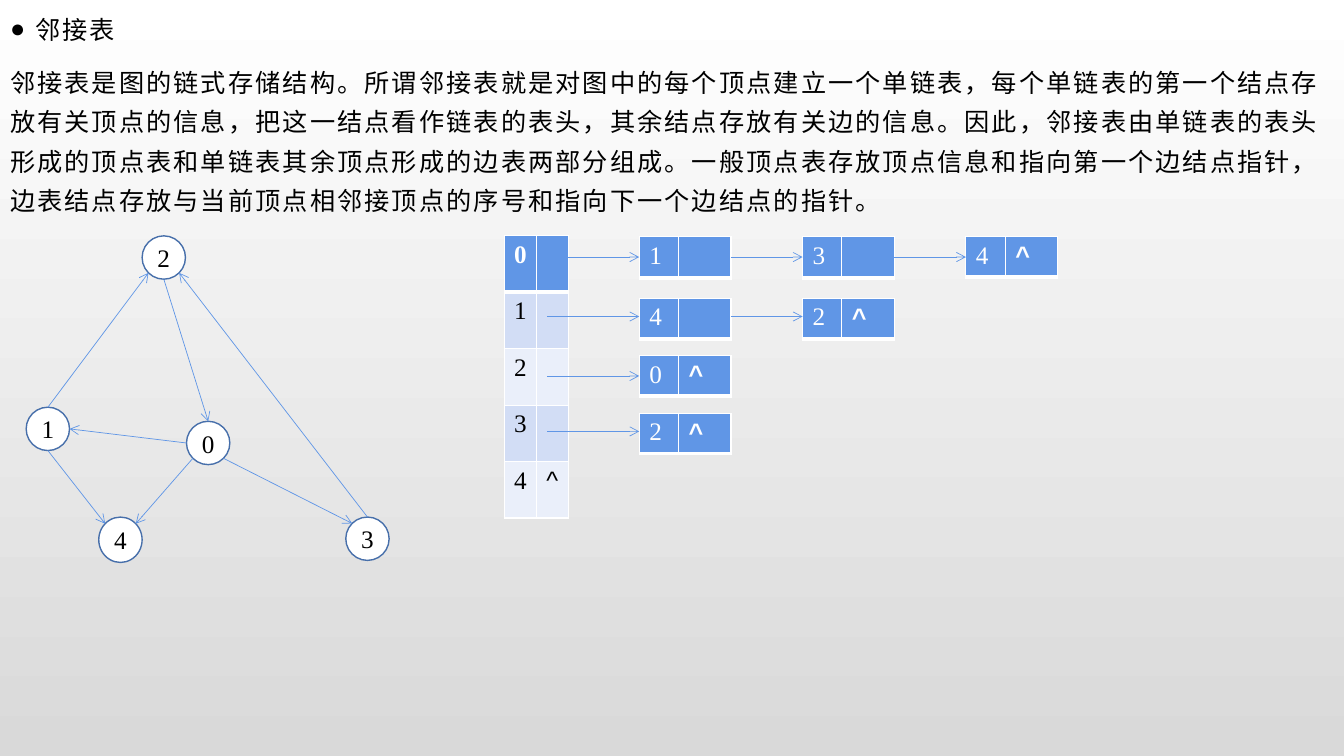
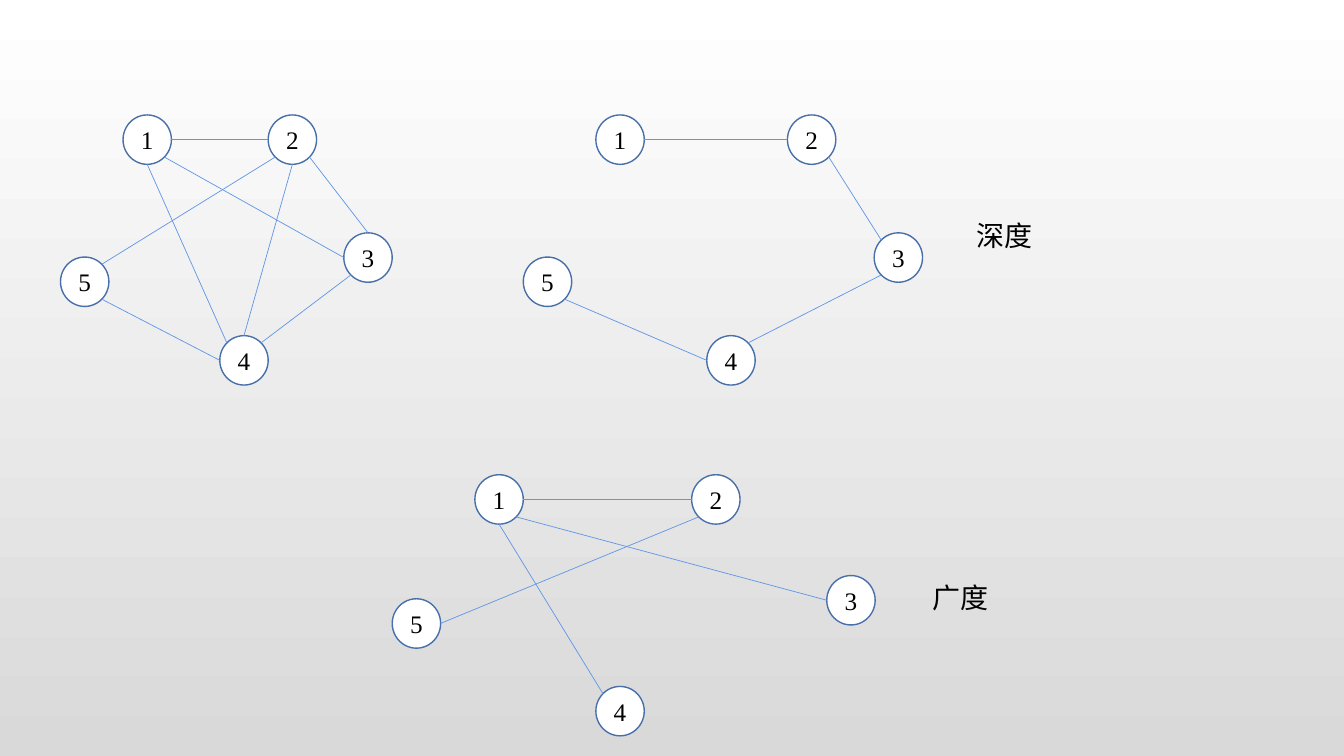
from math import cos, pi, sin

from lxml.etree import SubElement
from pptx import Presentation
from pptx.dml.color import RGBColor
from pptx.enum.shapes import MSO_CONNECTOR, MSO_SHAPE
from pptx.enum.text import MSO_ANCHOR, MSO_AUTO_SIZE, PP_ALIGN
from pptx.oxml.ns import qn
from pptx.util import Inches, Pt

COLORS = {
    "white": "FFFFFF", "black": "000000", "page_end": "D9D9D9",
    "outline": "476FAA", "accent": "6096E6", "band": "D2DDF5", "pale": "EAEFFA",
}
SERIF, SANS, CJK = "Times New Roman", "Arial", "Noto Sans CJK SC"
# Connection sites of an ellipse, counter-clockwise from the top
SITES = ["N", "NW", "W", "SW", "S", "SE", "E", "NE"]
LIST_LEFT, LIST_STEP, LIST_WIDTH = 6.34, 1.62, 0.91

DEFINITION = (
    "邻接表是图的链式存储结构。所谓邻接表就是对图中的每个顶点建立一个单链表，"
    "每个单链表的第一个结点存放有关顶点的信息，把这一结点看作链表的表头，"
    "其余结点存放有关边的信息。因此，邻接表由单链表的表头形成的顶点表和"
    "单链表其余顶点形成的边表两部分组成。一般顶点表存放顶点信息和指向第一个边结点指针，"
    "边表结点存放与当前顶点相邻接顶点的序号和指向下一个边结点的指针。"
)


def rgb(name):
    return RGBColor.from_string(COLORS[name])


def add_run(paragraph, text, size=18, font=SERIF, color="black", bold=False, spacing=0):
    run = paragraph.add_run()
    run.text = text
    run.font.size, run.font.name, run.font.bold = Pt(size), font, bold
    run.font.color.rgb = rgb(color)
    properties = run.font._element
    if spacing:
        properties.set("spc", str(int(spacing * 100)))
    SubElement(properties, qn("a:ea"), typeface=CJK)


def set_background(master):
    fill = master.background.fill
    fill.gradient()
    fill.gradient_angle = 270
    for stop, color in zip(fill.gradient_stops, ("white", "page_end")):
        stop.color.rgb = rgb(color)


def add_definition(slide):
    body = slide.placeholders[1]
    body.left = body.top = 0
    body.width, body.height = Inches(13.33), Inches(7.5)
    frame = body.text_frame
    frame.auto_size = MSO_AUTO_SIZE.NONE
    frame.vertical_anchor = MSO_ANCHOR.TOP
    heading, definition = frame.paragraphs[0], frame.add_paragraph()
    for paragraph, text, bullet in ((heading, "邻接表", "●"), (definition, DEFINITION, None)):
        properties = paragraph._p.get_or_add_pPr()
        indent = Inches(0.25) if bullet else 0
        properties.set("marL", str(indent))
        properties.set("indent", str(-indent))
        if bullet:
            SubElement(properties, qn("a:buFont"), typeface=SANS)
            SubElement(properties, qn("a:buChar"), char=bullet)
        else:
            SubElement(properties, qn("a:buNone"))
        paragraph.alignment = PP_ALIGN.LEFT
        paragraph.line_spacing = 1.3
        paragraph.space_before, paragraph.space_after = Pt(0), Pt(10)
        add_run(paragraph, text, spacing=1.5)


def add_line(slide, start, end, arrow=False):
    line = slide.shapes.add_connector(
        MSO_CONNECTOR.STRAIGHT, *(Inches(value) for value in (*start, *end)))
    line.line.color.rgb = rgb("accent")
    line.line.width = Pt(0.5)
    if arrow:
        SubElement(line.line._get_or_add_ln(), qn("a:tailEnd"), type="arrow")
    SubElement(line._element.spPr, qn("a:effectLst"))
    return line


def add_vertex(slide, label, left, top, width, height):
    vertex = slide.shapes.add_shape(
        MSO_SHAPE.OVAL, Inches(left), Inches(top), Inches(width), Inches(height))
    vertex.shadow.inherit = False
    vertex.fill.solid()
    vertex.fill.fore_color.rgb = rgb("white")
    vertex.line.color.rgb = rgb("outline")
    vertex.line.width = Pt(1)
    frame = vertex.text_frame
    frame.margin_left = frame.margin_right = frame.margin_top = frame.margin_bottom = 0
    frame.vertical_anchor = MSO_ANCHOR.MIDDLE
    frame.paragraphs[0].alignment = PP_ALIGN.CENTER
    add_run(frame.paragraphs[0], str(label))
    return vertex


def site_point(box, site):
    left, top, width, height = box
    angle = pi / 2 + SITES.index(site) * pi / 4
    return left + width / 2 * (1 + cos(angle)), top + height / 2 * (1 - sin(angle))


def add_graph(slide, boxes, edges, arrow=False):
    """Draw vertices {label: box} and edges (label, site, label, site)."""
    vertices = {label: add_vertex(slide, label, *box) for label, box in boxes.items()}
    for start, start_site, end, end_site in edges:
        line = add_line(slide, site_point(boxes[start], start_site),
                        site_point(boxes[end], end_site), arrow)
        joints = line._element.nvCxnSpPr.cNvCxnSpPr
        for tag, label, site in (("a:stCxn", start, start_site), ("a:endCxn", end, end_site)):
            SubElement(joints, qn(tag), id=str(vertices[label].shape_id),
                       idx=str(SITES.index(site)))


def style_cell(cell, text, fill, color, bold, bottom):
    cell.fill.solid()
    cell.fill.fore_color.rgb = rgb(fill)
    if text:
        pointer = text == "^"
        add_run(cell.text_frame.paragraphs[0], text, font=SANS if pointer else SERIF,
                color=color, bold=bold)
    properties = cell._tc.get_or_add_tcPr()
    for index, (side, width) in enumerate((("L", 1), ("R", 1), ("T", 1), ("B", bottom))):
        border = SubElement(properties, qn(f"a:ln{side}"), w=str(Pt(width)))
        SubElement(SubElement(border, qn("a:solidFill")), qn("a:srgbClr"), val=COLORS["white"])
        properties.insert(index, border)


def add_cells(slide, left, top, widths, row_height, rows):
    """Draw a table from (texts, fill, text colour, bold flags, bottom border) rows."""
    table = slide.shapes.add_table(
        len(rows), len(widths), Inches(left), Inches(top),
        Inches(sum(widths)), Inches(row_height * len(rows))).table
    for column, width in zip(table.columns, widths):
        column.width = Inches(width)
    for index, (texts, fill, color, bolds, bottom) in enumerate(rows):
        table.rows[index].height = Inches(row_height)
        for column, (text, bold) in enumerate(zip(texts, bolds)):
            style_cell(table.cell(index, column), text, fill, color, bold, bottom)


def add_vertex_table(slide):
    plain = (False, False)
    rows = [(("0", ""), "accent", "white", (True, True), 3)]
    for label in range(1, 5):
        fill = "band" if label % 2 else "pale"
        rows.append(((str(label), "^" if label == 4 else ""), fill, "black", plain, 1))
    add_cells(slide, 5, 2.34, (0.32, 0.32), 0.56, rows)


def add_edge_list(slide, top, arrow_y, labels, closed=True):
    for index, label in enumerate(labels):
        left = LIST_LEFT + index * LIST_STEP
        last = index == len(labels) - 1
        add_cells(slide, left, top, (0.39, 0.52), 0.4,
                  [((label, "^" if last else ""), "accent", "white", (False, True), 3)])
        start = left - LIST_STEP + LIST_WIDTH if index else 5.43
        add_line(slide, (start, arrow_y), (left, arrow_y), arrow=True)


def add_caption(slide, text, left, top):
    caption = slide.shapes.add_textbox(Inches(left), Inches(top), Inches(1.48), Inches(0.44))
    caption.text_frame.word_wrap = True
    add_run(caption.text_frame.paragraphs[0], text, size=20, font=CJK)


def build_adjacency_list(prs):
    slide = prs.slides.add_slide(prs.slide_layouts.get_by_name("Title and Content"))
    title = slide.shapes.title._element
    title.getparent().remove(title)
    add_definition(slide)
    # Directed graph
    size = (0.43, 0.43)
    boxes = {2: (1.41, 2.34, *size), 1: (0.26, 4.04, *size), 0: (1.85, 4.18, *size),
             3: (3.43, 5.13, *size), 4: (0.98, 5.13, 0.43, 0.45)}
    add_graph(slide, boxes, [
        (1, "N", 2, "SW"), (2, "S", 0, "N"), (0, "W", 1, "E"), (1, "S", 4, "NW"),
        (0, "SW", 4, "NE"), (0, "SE", 3, "NW"), (3, "N", 2, "SE")], arrow=True)
    # Vertex table and its edge lists
    add_vertex_table(slide)
    for top, arrow_y, labels in ((2.35, 2.55, "134"), (2.96, 3.14, "42"),
                                 (3.53, 3.73, "0"), (4.1, 4.28, "2")):
        add_edge_list(slide, top, arrow_y, labels)


def build_traversals(prs):
    slide = prs.slides.add_slide(prs.slide_layouts.get_by_name("Blank"))
    graphs = (
        # Whole graph
        ([(1.22, 1.14), (2.66, 1.14), (3.41, 2.31), (2.18, 3.33), (0.6, 2.55)],
         [(1, "E", 2, "W"), (1, "S", 4, "NW"), (1, "SE", 3, "W"), (2, "SW", 5, "NE"),
          (2, "S", 4, "N"), (2, "SE", 3, "N"), (3, "SW", 4, "NE"), (5, "SE", 4, "W")]),
        # Depth-first tree
        ([(5.91, 1.14), (7.81, 1.14), (8.67, 2.31), (7.01, 3.33), (5.19, 2.55)],
         [(1, "E", 2, "W"), (2, "SE", 3, "NW"), (3, "SW", 4, "NE"), (4, "W", 5, "SE")]),
        # Breadth-first tree
        ([(4.71, 4.71), (6.86, 4.71), (8.2, 5.71), (5.91, 6.81), (3.89, 5.94)],
         [(1, "E", 2, "W"), (1, "SE", 3, "W"), (1, "S", 4, "NW"), (2, "SW", 5, "E")]),
    )
    for corners, edges in graphs:
        boxes = {label: (*corner, 0.48, 0.49) for label, corner in enumerate(corners, 1)}
        add_graph(slide, boxes, edges)
    add_caption(slide, "深度", 9.59, 2.12)
    add_caption(slide, "广度", 9.15, 5.71)


def main():
    prs = Presentation()
    prs.slide_width, prs.slide_height = Inches(13.33), Inches(7.5)
    set_background(prs.slide_master)
    build_adjacency_list(prs)
    build_traversals(prs)
    prs.save("out.pptx")


if __name__ == "__main__":
    main()
